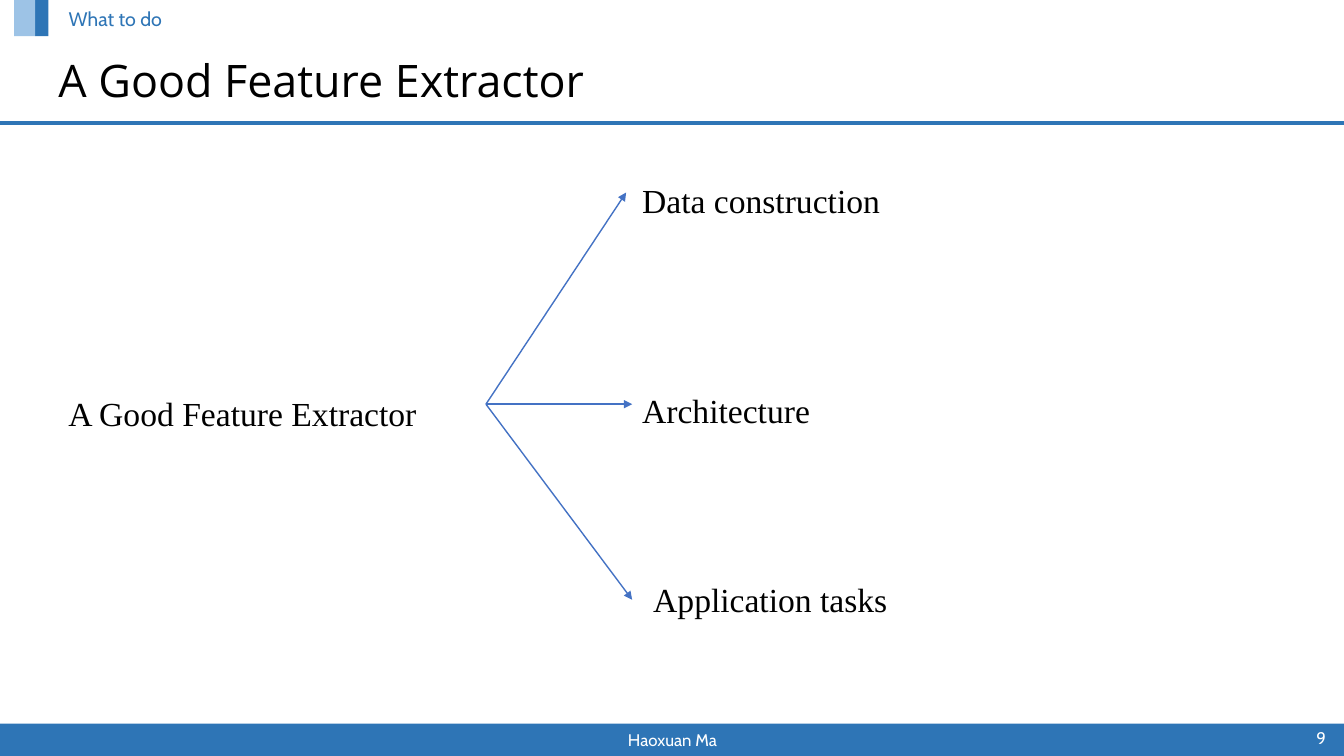
from dataclasses import dataclass

from lxml.etree import SubElement
from pptx import Presentation
from pptx.dml.color import RGBColor
from pptx.enum.shapes import MSO_CONNECTOR, MSO_SHAPE
from pptx.enum.text import MSO_ANCHOR, MSO_AUTO_SIZE, PP_ALIGN
from pptx.oxml.ns import qn
from pptx.util import Inches, Pt


@dataclass(frozen=True)
class Theme:
    """Colours, fonts and type sizes of the slide."""

    blue: str = "2E75B6"
    pale_blue: str = "9DC3E6"
    arrow_blue: str = "4472C4"
    black: str = "000000"
    white: str = "FFFFFF"
    title_font: str = "Open Sans"
    label_font: str = "Cabin"
    topic_font: str = "Times New Roman"
    title_size: int = 32
    topic_size: int = 24
    section_size: int = 14
    footer_size: int = 12


THEME = Theme()
FORK = (4.82, 4.01)
BRANCHES = [
    ("Data construction", (6.27, 1.54), (6.21, 1.91)),
    ("Architecture", (6.27, 3.62), (6.27, 4.01)),
    ("Application tasks", (6.38, 5.49), (6.27, 5.95)),
]


def apply(target, values):
    """Set each named attribute on the target."""
    for name, value in values.items():
        setattr(target, name, value)


def write(holder, box, words, font, size, color, frame_format, paragraph_format):
    """Place a text holder and fill it with one formatted paragraph."""
    sides = map(Inches, box)
    apply(holder, dict(zip(("left", "top", "width", "height"), sides)))
    frame = holder.text_frame
    frame.text = words
    apply(frame, {"word_wrap": True, "auto_size": MSO_AUTO_SIZE.NONE, **frame_format})
    paragraph = frame.paragraphs[0]
    apply(paragraph, {"alignment": PP_ALIGN.LEFT, "space_before": Pt(0), **paragraph_format})
    letters = paragraph.runs[0].font
    apply(letters, {"name": font, "size": Pt(size), "bold": False})
    letters.color.rgb = RGBColor.from_string(color)
    return paragraph


def add_text(slide, box, *style):
    """Add a text box with one formatted paragraph."""
    return write(slide.shapes.add_textbox(*map(Inches, box)), box, *style)


def add_topic(slide, words, corner):
    """Add one topic of the diagram."""
    add_text(slide, (*corner, 3.92, 0.63), words, THEME.topic_font, THEME.topic_size,
             THEME.black, {"auto_size": MSO_AUTO_SIZE.SHAPE_TO_FIT_TEXT},
             {"line_spacing": 1.5})


def add_footer_text(slide, box, words, alignment):
    """Add white text on the footer band."""
    add_text(slide, box, words, THEME.label_font, THEME.footer_size, THEME.white,
             {"vertical_anchor": MSO_ANCHOR.MIDDLE}, {"alignment": alignment})


def add_block(slide, box, color):
    """Add a plain filled rectangle."""
    block = slide.shapes.add_shape(MSO_SHAPE.RECTANGLE, *map(Inches, box))
    block.shadow.inherit = False
    block.fill.solid()
    block.fill.fore_color.rgb = RGBColor.from_string(color)
    block.line.fill.background()


def add_line(slide, start, end, color, width, arrow=False):
    """Add a straight line, with an arrowhead at its end if asked."""
    connector = slide.shapes.add_connector(
        MSO_CONNECTOR.STRAIGHT, *map(Inches, (*start, *end)))
    connector.line.width = Pt(width)
    connector.line.color.rgb = RGBColor.from_string(color)
    if arrow:
        SubElement(connector.line._get_or_add_ln(), qn("a:tailEnd"), type="triangle")
    SubElement(connector._element.spPr, qn("a:effectLst"))


def add_frame(slide):
    """Add the header marks, the rule and the footer."""
    add_block(slide, (0, 7.18, 13.33, 0.34), THEME.blue)
    add_block(slide, (0.35, 0, 0.13, 0.36), THEME.blue)
    add_line(slide, (0, 1.22), (13.33, 1.22), THEME.blue, 2.25)
    add_block(slide, (0.14, 0, 0.21, 0.36), THEME.pale_blue)
    add_footer_text(slide, (4.42, 7.18, 4.5, 0.31), "Haoxuan Ma", PP_ALIGN.CENTER)
    add_footer_text(slide, (12.58, 7.15, 0.67, 0.34), "9", PP_ALIGN.RIGHT)


def fill_headings(slide):
    """Fill the title and the section name above it."""
    write(slide.shapes.title, (0.48, 0.52, 9.45, 0.6), "A Good Feature Extractor",
          THEME.title_font, THEME.title_size, THEME.black,
          {"vertical_anchor": MSO_ANCHOR.MIDDLE}, {"line_spacing": 0.9})
    section = write(slide.placeholders[1], (0.58, 0.04, 4.87, 0.31), "What to do",
                    THEME.label_font, THEME.section_size, THEME.blue,
                    {"vertical_anchor": MSO_ANCHOR.TOP},
                    {"line_spacing": 0.9, "space_before": Pt(10)})
    properties = section._p.get_or_add_pPr()
    for name in ("marL", "indent"):
        properties.set(name, "0")
    SubElement(properties, qn("a:buNone"))


def main():
    """Build the slide and save it."""
    deck = Presentation()
    apply(deck, {"slide_width": Inches(13.33), "slide_height": Inches(7.5)})
    slide = deck.slides.add_slide(deck.slide_layouts[1])
    add_frame(slide)
    fill_headings(slide)
    add_topic(slide, "A Good Feature Extractor", (0.58, 3.65))
    for words, corner, tip in BRANCHES:
        add_line(slide, FORK, tip, THEME.arrow_blue, 1, arrow=True)
        add_topic(slide, words, corner)
    deck.save("out.pptx")


if __name__ == "__main__":
    main()
